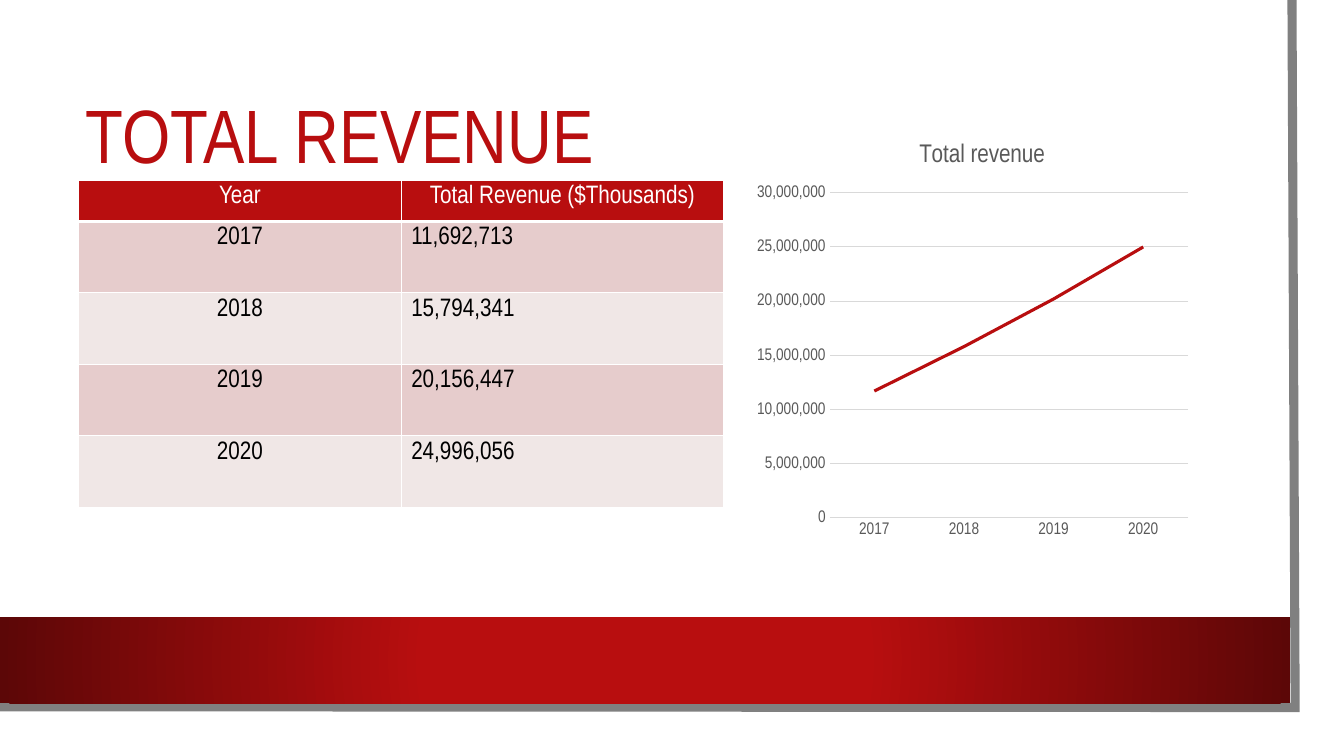
from lxml.etree import SubElement
from pptx import Presentation
from pptx.chart.data import CategoryChartData
from pptx.dml.color import RGBColor
from pptx.enum.chart import XL_CHART_TYPE, XL_TICK_MARK
from pptx.enum.shapes import MSO_SHAPE
from pptx.enum.text import MSO_ANCHOR, PP_ALIGN
from pptx.oxml import parse_xml
from pptx.oxml.ns import nsdecls, qn
from pptx.util import Cm, Pt

FONT = "Arial Narrow"
RED, DARK_RED, GREY = "B80E0F", "5C0707", "808080"
WHITE, BLACK, CHART_TEXT, GRID = "FFFFFF", "000000", "595959", "D9D9D9"
BANDS = ["E6CCCC", "F0E7E6"]

HEADING = "TOTAL REVENUE"
COLUMNS = ("Year", "Total Revenue ($Thousands)")
REVENUE = {"2017": 11692713, "2018": 15794341, "2019": 20156447, "2020": 24996056}
CHART_TITLE = "Total revenue"

EDGE = [(32.56, 0), (32.64, 17.83), (-0.08, 17.81)]
RIBBON_BOX = (0, 15.56, 32.51, 2.16)
HEADING_BOX = (1.9, 1.9, 28.88, 3.2)
TABLE_LEFT, TABLE_TOP = 1.98, 4.55
COLUMN_WIDTH, HEADER_HEIGHT, YEAR_HEIGHT = 8.13, 1.03, 1.8
CHART_BOX = (19.08, 3.25, 10.9, 10.69)
PLOT_BOX = (1.76, 1.61, 9.1, 8.19)
TITLE_SPOT = (3.92, 0.21)


def rgb(color):
    return RGBColor.from_string(color)


def box(lengths):
    return [Cm(length) for length in lengths]


def style(font, size, color):
    font.name, font.size, font.bold = FONT, Pt(size), False
    font.color.rgb = rgb(color)


def border(cell, bottom):
    for side, width in (("L", 1), ("R", 1), ("T", 1), ("B", bottom)):
        line = SubElement(cell._tc.get_or_add_tcPr(), qn(f"a:ln{side}"), w=str(Pt(width)))
        SubElement(SubElement(line, qn("a:solidFill")), qn("a:srgbClr"), val=WHITE)


def fill_cell(cell, text, align, color, fill, bottom):
    border(cell, bottom)
    cell.fill.solid()
    cell.fill.fore_color.rgb = rgb(fill)
    cell.text = text
    paragraph = cell.text_frame.paragraphs[0]
    paragraph.alignment = align
    style(paragraph.font, 18, color)


def chart_layout(lengths, target=""):
    sides = zip("xywh", lengths, CHART_BOX[2:] * 2)
    places = "".join(f'<c:{key} val="{length / side:.4f}"/>' for key, length, side in sides)
    return parse_xml(
        f'<c:layout {nsdecls("c")}><c:manualLayout>{target}<c:xMode val="edge"/>'
        f'<c:yMode val="edge"/>{places}</c:manualLayout></c:layout>')


def add_frame(slide):
    start, *corners = [box(point) for point in EDGE]
    outline = slide.shapes.build_freeform(*start)
    outline.add_line_segments(corners, close=False)
    edge = outline.convert_to_shape()
    edge.shadow.inherit = False
    edge.fill.background()
    edge.line.color.rgb = rgb(GREY)
    edge.line.width = Pt(6.5)
    SubElement(edge._element.spPr.find(qn("a:ln")), qn("a:miter"), lim="800000")

    ribbon = slide.shapes.add_shape(MSO_SHAPE.RECTANGLE, *box(RIBBON_BOX))
    ribbon.shadow.inherit = False
    ribbon.line.fill.background()
    ribbon.fill.gradient()
    for stop, (position, color) in zip(ribbon.fill.gradient_stops, ((0.34, RED), (1, DARK_RED))):
        stop.position = position
        stop.color.rgb = rgb(color)
    gradient = ribbon._element.spPr.find(qn("a:gradFill"))
    gradient.remove(gradient.find(qn("a:lin")))
    circle = SubElement(gradient, qn("a:path"), path="circle")
    SubElement(circle, qn("a:fillToRect"), l="50000", t="50000", r="50000", b="50000")


def add_heading(slide):
    frame = slide.shapes.add_textbox(*box(HEADING_BOX)).text_frame
    frame.word_wrap = True
    frame.vertical_anchor = MSO_ANCHOR.MIDDLE
    paragraph = frame.paragraphs[0]
    paragraph.text = HEADING
    paragraph.line_spacing = 0.9
    style(paragraph.font, 54, RED)


def add_revenue_table(slide):
    size = (2 * COLUMN_WIDTH, HEADER_HEIGHT + len(REVENUE) * YEAR_HEIGHT)
    table = slide.shapes.add_table(
        len(REVENUE) + 1, 2, *box((TABLE_LEFT, TABLE_TOP, *size))).table
    for column in table.columns:
        column.width = Cm(COLUMN_WIDTH)
    table.rows[0].height = Cm(HEADER_HEIGHT)
    for index, label in enumerate(COLUMNS):
        fill_cell(table.cell(0, index), label, PP_ALIGN.CENTER, WHITE, RED, 3)
    for row, (year, amount) in enumerate(REVENUE.items(), start=1):
        table.rows[row].height = Cm(YEAR_HEIGHT)
        band = BANDS[(row - 1) % 2]
        fill_cell(table.cell(row, 0), year, PP_ALIGN.CENTER, BLACK, band, 1)
        fill_cell(table.cell(row, 1), f"{amount:,}", PP_ALIGN.LEFT, BLACK, band, 1)


def add_revenue_chart(slide):
    data = CategoryChartData(number_format="#,##0")
    data.categories = list(REVENUE)
    data.add_series(CHART_TITLE, [round(amount, -5) for amount in REVENUE.values()])
    chart = slide.shapes.add_chart(XL_CHART_TYPE.LINE, *box(CHART_BOX), data).chart
    style(chart.font, 12, CHART_TEXT)
    chart.has_legend = False
    chart.has_title = True
    title = chart.chart_title.text_frame
    title.text = CHART_TITLE
    style(title.paragraphs[0].font, 18.2, CHART_TEXT)

    years, amounts = chart.category_axis, chart.value_axis
    for axis in (years, amounts):
        axis.major_tick_mark = axis.minor_tick_mark = XL_TICK_MARK.NONE
        style(axis.tick_labels.font, 12, CHART_TEXT)
    amounts.minimum_scale, amounts.maximum_scale, amounts.major_unit = 0, 30000000, 5000000
    amounts.tick_labels.number_format = "#,##0"
    amounts.tick_labels.number_format_is_linked = False
    amounts.format.line.fill.background()
    for line in (years.format.line, amounts.major_gridlines.format.line):
        line.color.rgb = rgb(GRID)
        line.width = Pt(0.75)

    plot = chart.plots[0]
    plot.vary_by_categories = False
    trend = plot.series[0]
    trend.smooth = False
    trend.format.line.color.rgb = rgb(RED)
    trend.format.line.width = Pt(2.25)

    heading, area = chart._chartSpace.chart.title, chart._chartSpace.chart.plotArea
    for part in (heading, area):
        for layout in part.findall(qn("c:layout")):
            part.remove(layout)
    heading.find(qn("c:tx")).addnext(chart_layout(TITLE_SPOT))
    area.insert(0, chart_layout(PLOT_BOX, '<c:layoutTarget val="inner"/>'))


def main():
    deck = Presentation()
    deck.slide_width, deck.slide_height = Cm(33.87), Cm(19.05)
    slide = deck.slides.add_slide(deck.slide_layouts[6])
    add_frame(slide)
    add_heading(slide)
    add_revenue_table(slide)
    add_revenue_chart(slide)
    deck.save("out.pptx")


if __name__ == "__main__":
    main()
